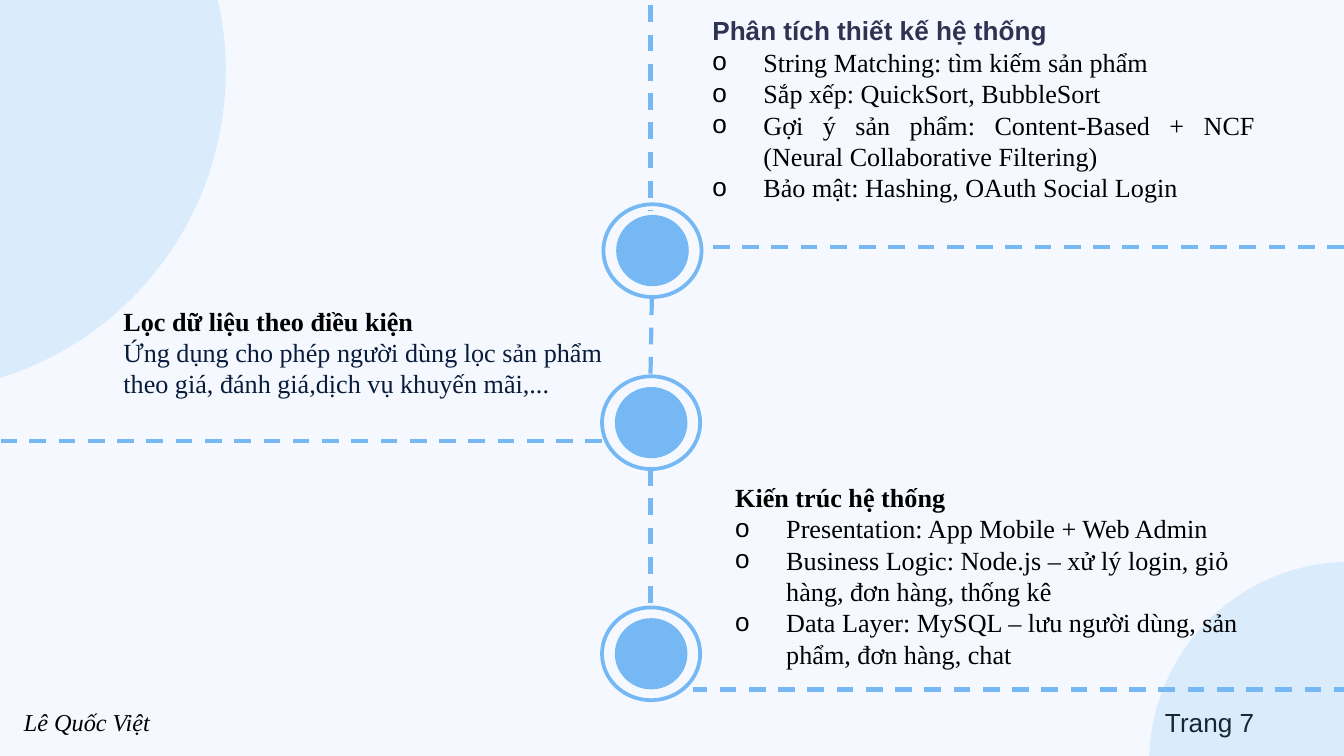
from lxml.etree import SubElement as Sub
from pptx import Presentation
from pptx.dml.color import RGBColor as RGB
from pptx.enum.dml import MSO_LINE as Dash
from pptx.enum.shapes import MSO_CONNECTOR as Link, MSO_SHAPE as Form
from pptx.enum.text import MSO_ANCHOR as Anchor, MSO_AUTO_SIZE as Fit, PP_ALIGN as Align
from pptx.oxml.ns import qn
from pptx.util import Inches, Pt

SKY = RGB(0x76, 0xB8, 0xF4)
PALE = RGB(0xF5, 0xF9, 0xFF)
INK = RGB(0x2F, 0x33, 0x52)
NAVY = RGB(0x08, 0x1B, 0x3A)
BLACK = RGB(0, 0, 0)
SERIF, SANS = "Times New Roman", "Arial"


class Page:
    """Style and current slide; lengths are in squares of a 100-column grid."""

    def __init__(self, deck, slide):
        self.slide = slide
        self.unit = deck.slide_width / 100
        slide.background.fill.solid()
        slide.background.fill.fore_color.rgb = PALE

    def grid(self, *spans):
        return [round(span * self.unit) for span in spans]

    def oval(self, box, form=Form.OVAL, fill=None, line=None, alpha=None):
        shape = self.slide.shapes.add_shape(form, *self.grid(*box))
        shape.shadow.inherit = False
        if fill is None:
            shape.fill.background()
        else:
            shape.fill.solid()
            shape.fill.fore_color.rgb = fill
        if alpha:
            tint = shape.element.spPr.find(".//" + qn("a:srgbClr"))
            Sub(tint, qn("a:alpha"), val=str(alpha * 1000))
        if line is None:
            shape.line.fill.background()
        else:
            shape.line.color.rgb = line
            shape.line.width = Pt(2)

    def node(self, left, top):
        """A ring with a dot in its middle."""
        wide, high, dot, tall = 7.3, 6.9, 5.4, 5.3
        form = Form.FLOWCHART_CONNECTOR
        self.oval((left, top, wide, high), form, line=SKY)
        self.oval((left + (wide - dot) / 2, top + (high - tall) / 2, dot, tall),
                  form, fill=SKY)

    def dash(self, *ends):
        line = self.slide.shapes.add_connector(Link.STRAIGHT, *self.grid(*ends))
        line.line.color.rgb = SKY
        line.line.width = Pt(2.25)
        line.line.dash_style = Dash.DASH
        Sub(line.element.spPr, qn("a:effectLst"))

    def style(self, par, font=SERIF, size=14, color=BLACK, bold=False, italic=False):
        par.space_before = Pt(0)
        for run in par.runs:
            run.font.name, run.font.size = font, Pt(size)
            run.font.bold, run.font.italic = bold, italic
            run.font.color.rgb = color

    def text(self, box, lines):
        """A text box; each line is a pair of wording and style."""
        shape = self.slide.shapes.add_textbox(*self.grid(*box))
        frame = shape.text_frame
        frame.word_wrap = True
        frame.text = "\n".join(words for words, _ in lines)
        for par, (_, look) in zip(frame.paragraphs, lines):
            self.style(par, **look)

    def bullet(self, par):
        props = par._p.get_or_add_pPr()
        props.set("marL", str(Inches(0.38)))
        props.set("indent", str(-Inches(0.38)))
        Sub(Sub(props, qn("a:buClr")), qn("a:srgbClr"), val=str(BLACK))
        Sub(props, qn("a:buFont"), typeface=SANS)
        Sub(props, qn("a:buChar"), char="o")
        Sub(Sub(props, qn("a:tabLst")), qn("a:tab"), pos=str(Inches(0.58)), algn="l")

    def list(self, index, box, head, items, wide=(), **look):
        """A body placeholder with a heading and bulleted items, brought to the front."""
        shape = self.slide.placeholders[index]
        shape.left, shape.top, shape.width, shape.height = self.grid(*box)
        shape.element.getparent().append(shape.element)
        frame = shape.text_frame
        frame.word_wrap, frame.auto_size = True, Fit.NONE
        frame.vertical_anchor = Anchor.TOP
        frame.text = "\n".join([head, *items])
        first, *rest = frame.paragraphs
        props = first._p.get_or_add_pPr()
        props.set("marL", "0")
        props.set("indent", "0")
        Sub(props, qn("a:buNone"))
        self.style(first, bold=True, **look)
        for spot, par in enumerate(rest):
            self.bullet(par)
            par.alignment = Align.JUSTIFY if spot in wide else Align.LEFT
            self.style(par)


def main():
    deck = Presentation()
    deck.slide_width = Inches(10)
    deck.slide_height = deck.slide_width * 9 // 16
    slide = deck.slides.add_slide(deck.slide_layouts[3])
    title = slide.shapes.title.element
    title.getparent().remove(title)
    page = Page(deck, slide)

    # Corner circles and footer
    page.text((85.7, 52.1, 12, 3.4), [("Trang 7", {"font": SANS})])
    page.text((0.8, 52.1, 19.9, 3.2), [("Lê Quốc Việt", {"size": 13, "italic": True})])
    for left, top, size in ((-31, -18.6, 47.8), (85.5, 41.8, 29.9)):
        page.oval((left, top, size, size), fill=SKY, alpha=21)

    # Timeline: stem, branches and nodes
    for ends in ((48.4, 0.4, 48.4, 15.7), (48.5, 22.2, 48.4, 28),
                 (48.4, 34.9, 48.4, 45.2)):
        page.dash(*ends)
    for start, end, row in ((100, 52.1, 18.4), (44.8, 0.1, 32.8), (100.5, 51.6, 51.3)):
        page.dash(start, row, end, row)
    for left, top in ((44.9, 15.2), (44.8, 28), (44.8, 45.2)):
        page.node(left, top)

    # Topics
    page.list(1, (52, 0.6, 42.4, 17.5), "Phân tích thiết kế hệ thống", [
        "String Matching: tìm kiếm sản phẩm",
        "Sắp xếp: QuickSort, BubbleSort",
        "Gợi ý sản phẩm: Content-Based + NCF (Neural Collaborative Filtering)",
        "Bảo mật: Hashing, OAuth Social Login",
    ], wide=(2,), font=SANS, color=INK)
    page.list(2, (53.7, 35.3, 41.1, 15.1), "Kiến trúc hệ thống", [
        "Presentation: App Mobile + Web Admin",
        "Business Logic: Node.js – xử lý login, giỏ hàng, đơn hàng, thống kê",
        "Data Layer: MySQL – lưu người dùng, sản phẩm, đơn hàng, chat",
    ])
    page.text((8.2, 22.2, 40.1, 8.1), [
        ("Lọc dữ liệu theo điều kiện", {"bold": True}),
        ("Ứng dụng cho phép người dùng lọc sản phẩm theo giá, đánh giá,"
         "dịch vụ khuyến mãi,...", {"color": NAVY}),
    ])

    deck.save("out.pptx")


if __name__ == "__main__":
    main()
